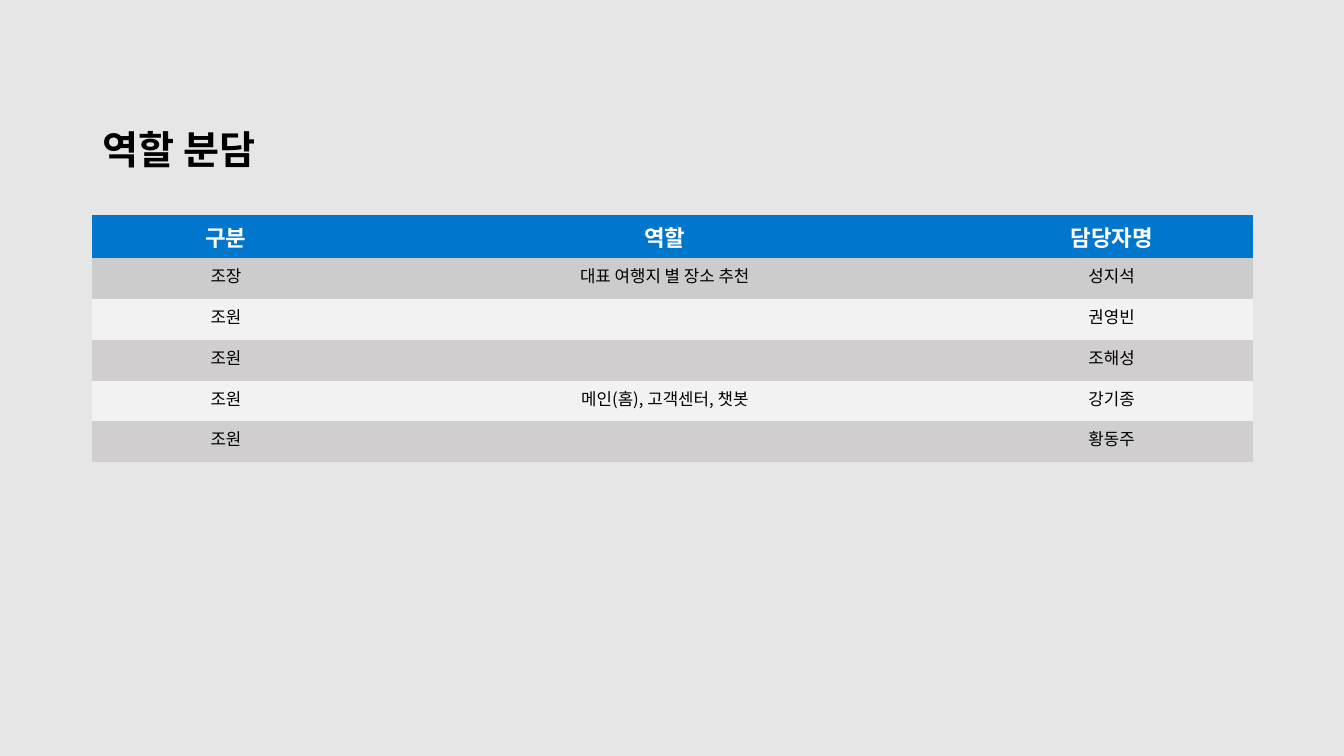
from dataclasses import dataclass

from lxml.etree import SubElement
from pptx import Presentation
from pptx.dml.color import RGBColor
from pptx.enum.shapes import MSO_SHAPE
from pptx.enum.text import MSO_ANCHOR, PP_ALIGN
from pptx.oxml.ns import qn
from pptx.util import Cm, Pt

TITLE = "역할 분담"
HEADINGS = ("구분", "역할", "담당자명")
MEMBERS = [
    ("조장", "대표 여행지 별 장소 추천", "성지석"),
    ("조원", "", "권영빈"),
    ("조원", "", "조해성"),
    ("조원", "메인(홈), 고객센터, 챗봇", "강기종"),
    ("조원", "", "황동주"),
]


@dataclass(frozen=True)
class Theme:
    font: str = "Noto Sans CJK KR"
    backdrop: str = "E7E6E6"
    ink: str = "000000"
    heading_ink: str = "FFFFFF"
    heading_fill: str = "0077CC"
    leader_fill: str = "CCCCCC"
    member_fills: tuple = ("F2F2F2", "D0CECE")
    title_size: int = 28
    heading_size: int = 16
    member_size: int = 12


THEME = Theme()
LEFT = 2.33
COLUMN_WIDTHS = (6.73, 15.39, 7.13)
HEADING_HEIGHT, MEMBER_HEIGHT = 1.08, 1.03


def paint(target, color):
    target.fill.solid()
    target.fill.fore_color.rgb = RGBColor.from_string(color)


def write(frame, text, size, color, bold):
    paragraph = frame.paragraphs[0]
    paragraph.text = text
    font = paragraph.font
    font.name, font.size, font.bold = THEME.font, Pt(size), bold
    font.color.rgb = RGBColor.from_string(color)
    properties = paragraph._p.get_or_add_pPr().find(qn("a:defRPr"))
    SubElement(properties, qn("a:ea")).set("typeface", THEME.font)
    return paragraph


def row_fill(row):
    if row < 2:
        return (THEME.heading_fill, THEME.leader_fill)[row]
    return THEME.member_fills[row % 2]


def add_backdrop(slide, width, height):
    backdrop = slide.shapes.add_shape(MSO_SHAPE.RECTANGLE, 0, 0, width, height)
    backdrop.shadow.inherit = False
    paint(backdrop, THEME.backdrop)
    backdrop.line.fill.background()


def add_title(slide):
    title = slide.shapes.add_textbox(Cm(LEFT), Cm(3.1), Cm(29.21), Cm(1.47))
    title.text_frame.word_wrap = True
    title.text_frame.vertical_anchor = MSO_ANCHOR.MIDDLE
    heading = write(title.text_frame, TITLE, THEME.title_size, THEME.ink, True)
    heading.line_spacing = 0.9


def add_roles(slide):
    rows = [HEADINGS, *MEMBERS]
    height = HEADING_HEIGHT + MEMBER_HEIGHT * len(MEMBERS)
    roles = slide.shapes.add_table(
        len(rows), len(HEADINGS), Cm(LEFT), Cm(5.42), Cm(sum(COLUMN_WIDTHS)), Cm(height)
    ).table
    for column, width in zip(roles.columns, COLUMN_WIDTHS):
        column.width = Cm(width)
    for row, entries in enumerate(rows):
        is_heading = row == 0
        roles.rows[row].height = Cm(HEADING_HEIGHT if is_heading else MEMBER_HEIGHT)
        size = THEME.heading_size if is_heading else THEME.member_size
        color = THEME.heading_ink if is_heading else THEME.ink
        for column, entry in enumerate(entries):
            cell = roles.cell(row, column)
            paint(cell, row_fill(row))
            write(cell.text_frame, entry, size, color, is_heading).alignment = PP_ALIGN.CENTER
            borders = cell._tc.get_or_add_tcPr()
            for position, side in enumerate(("a:lnL", "a:lnR", "a:lnT", "a:lnB")):
                border = SubElement(borders, qn(side))
                SubElement(border, qn("a:noFill"))
                borders.insert(position, border)


def main():
    deck = Presentation()
    deck.slide_width, deck.slide_height = Cm(33.87), Cm(19.05)
    slide = deck.slides.add_slide(deck.slide_layouts[6])
    add_backdrop(slide, deck.slide_width, deck.slide_height)
    add_title(slide)
    add_roles(slide)
    deck.save("out.pptx")


if __name__ == "__main__":
    main()
